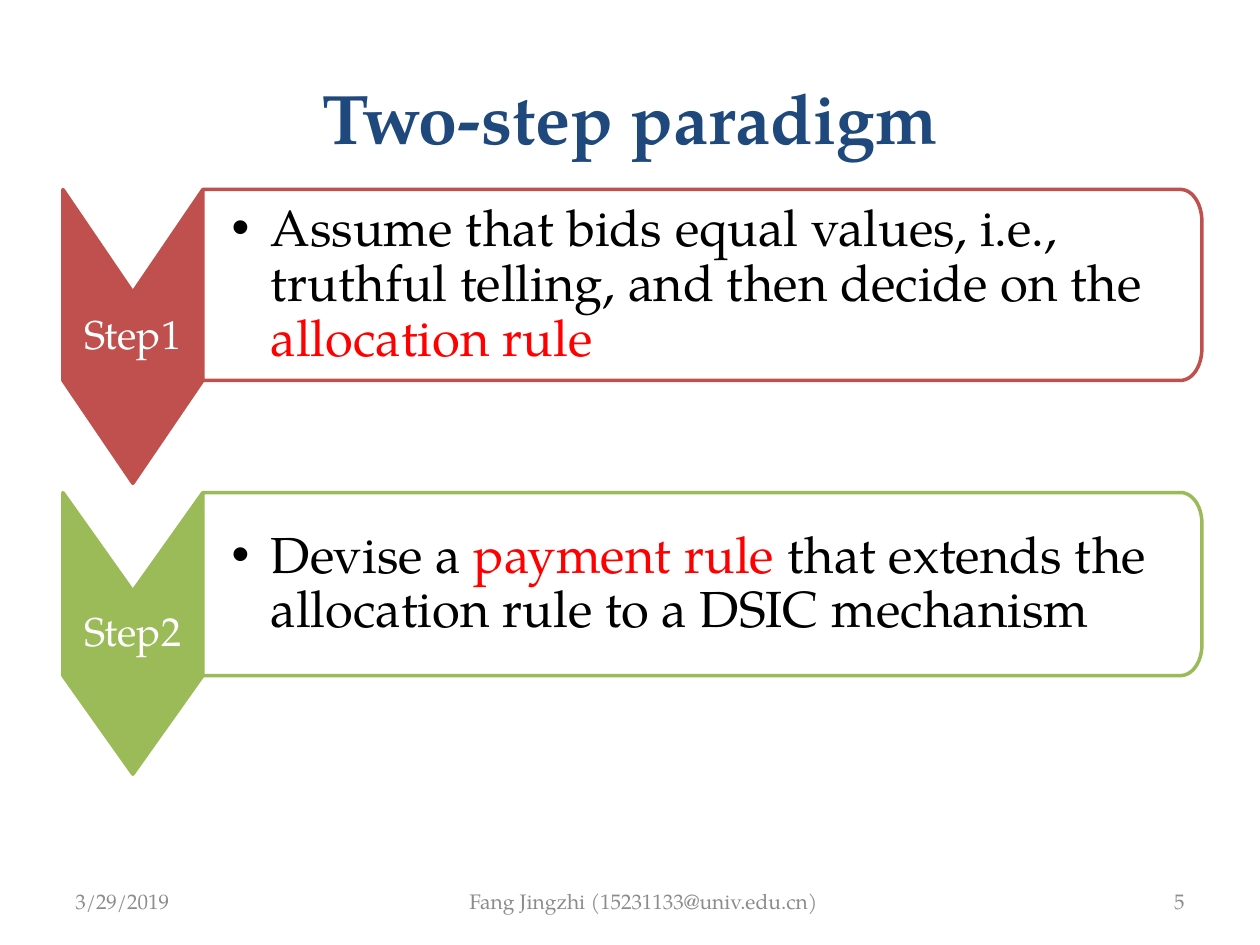
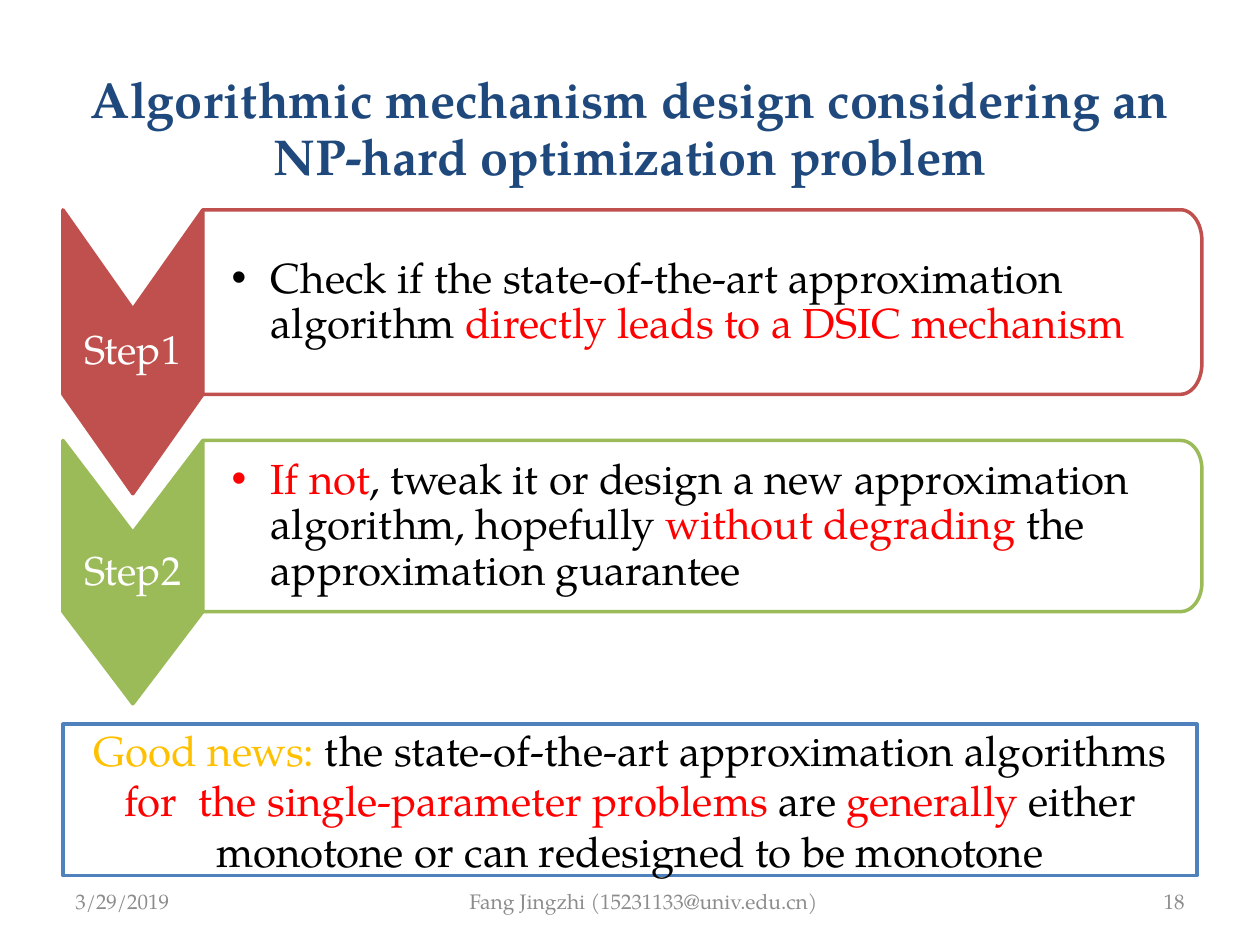
"""Build two slides that explain mechanism design as a pair of steps."""
import math

from lxml import etree
from pptx import Presentation
from pptx.dml import color
from pptx.enum import shapes, text
from pptx.oxml import ns
from pptx.util import Cm, Pt

FONT = "TeX Gyre Pagella"
NAVY, BLACK, WHITE, GREY = "1F497D", "000000", "FFFFFF", "8C8C8C"
RED, GOLD, BLUE = "FF0000", "FFC000", "4F81BD"
STEP_COLOURS = ["C0504D", "9BBB59"]
LEFT, CHEVRON_WIDTH, BOX_RIGHT = 1.27, 2.82, 24.23
BOX_LEFT = LEFT + CHEVRON_WIDTH
BOX_SHARE = 0.65
CORNER_WIDTH, CORNER_SHARE = 0.43, 1 / 6
ALIGN = text.PP_ALIGN

DATE = "3/29/2019"
AUTHOR = "Fang Jingzhi (15231133@univ.edu.cn)"
SLIDES = [
    {
        "title": "Two-step paradigm",
        "title_height": 3.18, "title_format": {"size": 40}, "title_spacing": 1.0,
        "number": "5",
        "step_size": 29,
        "steps": [
            (3.82, 3.85, [
                ("Assume that bids equal values, i.e., truthful telling, "
                 "and then decide on the ", BLACK),
                ("allocation rule", RED)]),
            (9.93, 3.69, [
                ("Devise a ", BLACK),
                ("payment rule ", RED),
                ("that extends the allocation rule to a DSIC mechanism", BLACK)]),
        ],
        "news": [],
    },
    {
        "title": "Algorithmic mechanism design considering an "
                 "NP-hard optimization problem",
        "title_height": 3.71, "title_format": {"size": 28.8}, "title_spacing": 0.95,
        "number": "18",
        "step_size": 24,
        "steps": [
            (4.23, 3.72, [
                ("Check if the state-of-the-art approximation algorithm ", BLACK),
                ("directly leads to a DSIC mechanism", RED)]),
            (8.88, 3.45, [
                ("If not", RED),
                (", tweak it or design a new approximation algorithm, hopefully ",
                 BLACK),
                ("without degrading ", RED),
                ("the approximation guarantee", BLACK)]),
        ],
        "news": [
            ("Good news: ", GOLD),
            ("the state-of-the-art approximation algorithms ", BLACK),
            ("for  the single-parameter problems ", RED),
            ("are ", BLACK),
            ("generally", RED),
            (" either monotone or can redesigned to be monotone", BLACK)],
    },
]


def rgb(value):
    return color.RGBColor.from_string(value)


def apply(target, values):
    for name, value in values.items():
        setattr(target, name, value)


def write(shape, pieces, size, alignment, spacing=1.0, bold=False, margins=None):
    frame = shape.text_frame
    apply(frame, {"word_wrap": True, "auto_size": text.MSO_AUTO_SIZE.NONE,
                  "vertical_anchor": text.MSO_ANCHOR.MIDDLE, **(margins or {})})
    paragraph = frame.paragraphs[0]
    apply(paragraph, {"alignment": alignment, "line_spacing": spacing})
    for words, colour in pieces:
        run = paragraph.add_run()
        run.text = words
        apply(run.font, {"name": FONT, "size": Pt(size), "bold": bold})
        run.font.color.rgb = rgb(colour)
    return paragraph


def margins(left, top, right, bottom):
    return {"margin_left": Cm(left), "margin_top": Cm(top),
            "margin_right": Cm(right), "margin_bottom": Cm(bottom)}


def add_bullet(paragraph, colour):
    properties = paragraph._p.get_or_add_pPr()
    properties.set("marL", str(Cm(0.79)))
    properties.set("indent", str(Cm(-0.79)))
    bullet_colour = etree.SubElement(properties, ns.qn("a:buClr"))
    etree.SubElement(bullet_colour, ns.qn("a:srgbClr"), val=colour)
    etree.SubElement(properties, ns.qn("a:buFont"), typeface="Arial")
    etree.SubElement(properties, ns.qn("a:buChar"), char="•")


def paint(shape, fill, line):
    shape.shadow.inherit = False
    shape.fill.solid()
    shape.fill.fore_color.rgb = rgb(fill)
    shape.line.color.rgb = rgb(line)
    shape.line.width = Pt(2)


def add_outline(slide, points, fill, line):
    points = [(Cm(x), Cm(y)) for x, y in points]
    builder = slide.shapes.build_freeform(*points[0])
    builder.add_line_segments(points[1:], close=True)
    shape = builder.convert_to_shape()
    paint(shape, fill, line)
    return shape


def chevron_points(top, box_height):
    height = box_height / BOX_SHARE
    notch = height - box_height
    middle = LEFT + CHEVRON_WIDTH / 2
    return [(LEFT, top), (middle, top + notch), (BOX_LEFT, top),
            (BOX_LEFT, top + box_height), (middle, top + height),
            (LEFT, top + box_height)]


def box_points(top, height):
    corner_height = height * CORNER_SHARE
    centre_x = BOX_RIGHT - CORNER_WIDTH
    points = [(BOX_LEFT, top)]
    for start, centre_y in [(-90, top + corner_height),
                            (0, top + height - corner_height)]:
        for degrees in range(start, start + 91, 6):
            angle = math.radians(degrees)
            points.append((centre_x + CORNER_WIDTH * math.cos(angle),
                           centre_y + corner_height * math.sin(angle)))
    return points + [(BOX_LEFT, top + height)]


def add_step(slide, number, top, height, pieces, size):
    colour = STEP_COLOURS[number - 1]
    chevron = add_outline(slide, chevron_points(top, height), colour, colour)
    write(chevron, [(f"Step{number}", WHITE)], 23, ALIGN.CENTER, 0.9,
          margins=margins(0.05, 1.32, 0.05, 1.32))
    box = add_outline(slide, box_points(top, height), WHITE, colour)
    paragraph = write(box, pieces, size, ALIGN.LEFT, 0.9,
                      margins=margins(0.58, 0.18, 0.18, 0.18))
    add_bullet(paragraph, pieces[0][1])


def add_footers(slide, number):
    for words, left, width, alignment in [
            (DATE, 1.27, 5.92, ALIGN.LEFT),
            (AUTHOR, 8.69, 8.05, ALIGN.RIGHT),
            (number, 18.21, 5.92, ALIGN.RIGHT)]:
        footer = slide.shapes.add_textbox(Cm(left), Cm(17.65), Cm(width), Cm(1.02))
        write(footer, [(words, GREY)], 12, alignment)


def add_slide(presentation, content):
    slide = presentation.slides.add_slide(presentation.slide_layouts[5])
    title = slide.shapes.title
    apply(title, {"left": Cm(LEFT), "top": Cm(0.76), "width": Cm(22.86),
                  "height": Cm(content["title_height"])})
    write(title, [(content["title"], NAVY)], content["title_format"]["size"],
          ALIGN.CENTER, content["title_spacing"], bold=True)
    add_footers(slide, content["number"])
    for number, (top, height, pieces) in enumerate(content["steps"], 1):
        add_step(slide, number, top, height, pieces, content["step_size"])
    if content["news"]:
        news = slide.shapes.add_shape(shapes.MSO_SHAPE.RECTANGLE, Cm(LEFT),
                                      Cm(14.6), Cm(22.86), Cm(3.05))
        paint(news, WHITE, BLUE)
        write(news, content["news"], 24, ALIGN.CENTER)


def main():
    presentation = Presentation()
    apply(presentation, {"slide_width": Cm(25.4), "slide_height": Cm(19.05)})
    for content in SLIDES:
        add_slide(presentation, content)
    presentation.save("out.pptx")


if __name__ == "__main__":
    main()
